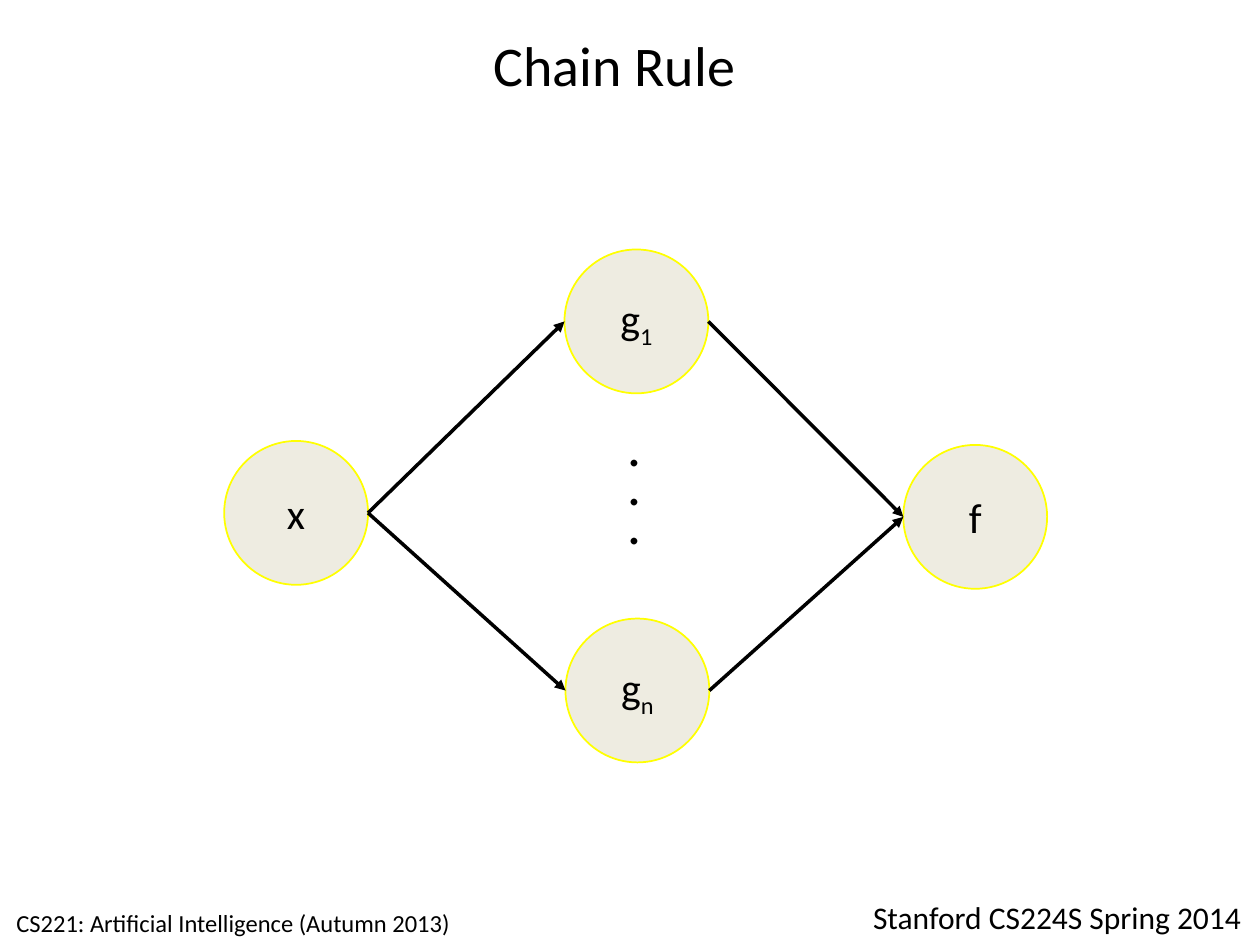
from lxml import etree
from pptx import Presentation
from pptx.dml.color import RGBColor
from pptx.enum.shapes import MSO_CONNECTOR, MSO_SHAPE
from pptx.enum.text import MSO_ANCHOR, PP_ALIGN
from pptx.oxml.ns import qn
from pptx.util import Cm, Pt

BLACK = RGBColor(0x00, 0x00, 0x00)
CREAM = RGBColor(0xEE, 0xEC, 0xE1)
YELLOW = RGBColor(0xFF, 0xFF, 0x00)
OVAL = MSO_SHAPE.OVAL
STRAIGHT = MSO_CONNECTOR.STRAIGHT
MIDDLE = MSO_ANCHOR.MIDDLE
CENTER, LEFT = PP_ALIGN.CENTER, PP_ALIGN.LEFT

TITLE_ONLY = 5
NODE_SIZE = Cm(2.9)

# name: (left, top, letter, subscript)
NODES = {
    "g1": (11.38, 5.03, "g", "1"),
    "x": (4.52, 8.89, "x", ""),
    "f": (18.21, 8.97, "f", ""),
    "gn": (11.4, 12.47, "g", "n"),
}
EDGES = [("x", "g1"), ("g1", "f"), ("x", "gn"), ("gn", "f")]


def add_span(para, text, size, **run_properties):
    """Add a run; run_properties are raw attributes such as baseline or spc."""
    span = para.add_run()
    span.text = text
    for name, value in {"name": "Calibri", "size": Pt(size)}.items():
        setattr(span.font, name, value)
    span.font.color.rgb = BLACK
    for name, value in run_properties.items():
        span._r.get_or_add_rPr().set(name, value)


def set_title(page, text):
    title = page.shapes.title
    place = {"left": Cm(5.11), "top": Cm(0.38), "width": Cm(14.55), "height": Cm(1.83)}
    for name, value in place.items():
        setattr(title, name, value)
    title.text_frame.vertical_anchor = MIDDLE
    para = title.text_frame.paragraphs[0]
    para.alignment = CENTER
    add_span(para, text, 32)


def add_label(page, text, size, left, top, width, height, **run_properties):
    box = page.shapes.add_textbox(Cm(left), Cm(top), Cm(width), Cm(height))
    box.text_frame.word_wrap = True
    para = box.text_frame.paragraphs[0]
    para.alignment = LEFT
    add_span(para, text, size, **run_properties)
    return box


def add_node(page, left, top, letter, subscript):
    node = page.shapes.add_shape(OVAL, Cm(left), Cm(top), NODE_SIZE, NODE_SIZE)
    node.shadow.inherit = False
    node.fill.solid()
    node.fill.fore_color.rgb = CREAM
    node.line.color.rgb = YELLOW
    node.line.width = Pt(1)
    node.text_frame.vertical_anchor = MIDDLE
    para = node.text_frame.paragraphs[0]
    para.alignment = CENTER
    add_span(para, letter, 24)
    if subscript:
        add_span(para, subscript, 24, baseline="-25000")
    return node


def add_arrow(page, source, target):
    """Draw an arrow from the right of one node to the left of another."""
    arrow = page.shapes.add_connector(
        STRAIGHT,
        source.left + source.width, source.top + source.height // 2,
        target.left, target.top + target.height // 2,
    )
    arrow.line.color.rgb = BLACK
    arrow.line.width = Pt(2)
    etree.SubElement(arrow.line._get_or_add_ln(), qn("a:tailEnd"), type="triangle")
    etree.SubElement(arrow._element.spPr, qn("a:effectLst"))


def main():
    deck = Presentation()
    deck.slide_width, deck.slide_height = Cm(25.4), Cm(19.05)
    page = deck.slides.add_slide(deck.slide_layouts[TITLE_ONLY])

    set_title(page, "Chain Rule")
    nodes = {name: add_node(page, *node) for name, node in NODES.items()}
    for source, target in EDGES:
        add_arrow(page, nodes[source], nodes[target])

    dots = add_label(page, ". . .", 32, 10.95, 10.19, 4.42, 1.63, spc="360")
    dots.rotation = 90
    dots.text_frame.margin_left = Cm(0.4)

    add_label(page, "CS221: Artificial Intelligence (Autumn 2013)", 14, 0.08, 18.19, 12.04, 0.86)
    add_label(page, "Stanford CS224S Spring 2014", 18, 17.35, 17.98, 8.05, 1.03)
    deck.save("out.pptx")


if __name__ == "__main__":
    main()
